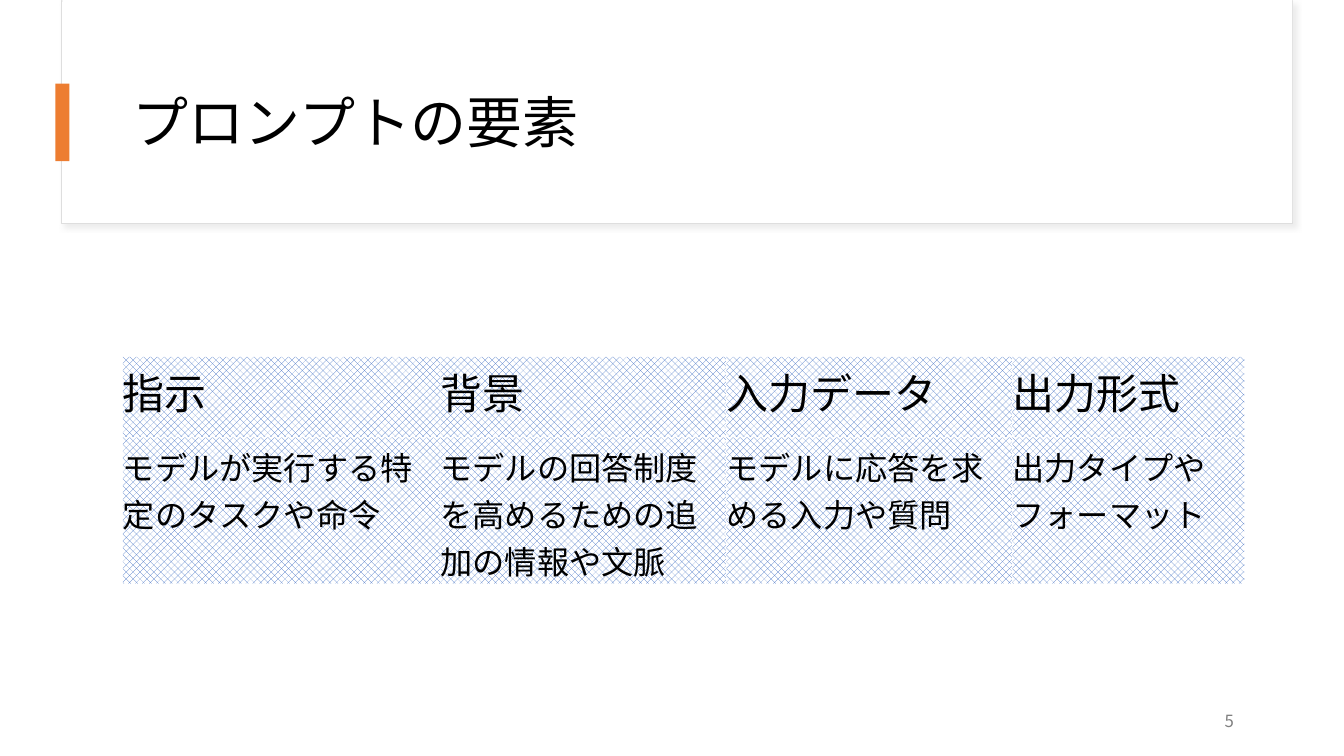
from lxml.etree import SubElement
from pptx import Presentation
from pptx.dml.color import RGBColor
from pptx.enum.dml import MSO_PATTERN
from pptx.enum.shapes import MSO_SHAPE
from pptx.enum.text import MSO_ANCHOR as Anchor, MSO_AUTO_SIZE, PP_ALIGN as Align
from pptx.oxml.ns import qn
from pptx.util import Pt

FONT = "Noto Sans CJK JP"
COLORS = {
    "text": "000000",
    "page": "FFFFFF",
    "frame": "DEDEDE",
    "shadow": "D9D9D9",
    "accent": "ED7D31",
    "hatch": "4472C4",
    "number": "808080",
}
NO_STYLE = "{2D5ABB26-0587-4C30-8999-92F81FD0307C}"
ELEMENTS = [
    ("指示", "モデルが実行する特定のタスクや命令"),
    ("背景", "モデルの回答制度を高めるための追加の情報や文脈"),
    ("入力データ", "モデルに応答を求める入力や質問"),
    ("出力形式", "出力タイプやフォーマット"),
]
COLUMN_WIDTHS = [226.8, 204.3, 204.3, 165.6]
ROW_HEIGHTS = [57.6, 104.4]


def color(name):
    return RGBColor.from_string(COLORS[name])


def write(frame, text, size, ink="text", align=Align.LEFT, spacing=None, after=None):
    paragraph = frame.paragraphs[0]
    paragraph.alignment = align
    paragraph.line_spacing = spacing
    if after is not None:
        paragraph.space_after = Pt(after)
    run = paragraph.add_run()
    run.text = text
    run.font.size = Pt(size)
    run.font.name = FONT
    run.font.color.rgb = color(ink)
    SubElement(run.font._element, qn("a:ea"), typeface=FONT)


def add_box(slide, left, top, width, height, fill, line=None):
    box = slide.shapes.add_shape(
        MSO_SHAPE.RECTANGLE, Pt(left), Pt(top), Pt(width), Pt(height))
    box.shadow.inherit = False
    box.fill.solid()
    box.fill.fore_color.rgb = color(fill)
    if line:
        box.line.color.rgb = color(line)
        box.line.width = Pt(0.75)
    else:
        box.line.fill.background()
    return box


def add_shadow(box, blur, distance, degrees, opacity):
    effects = box._element.spPr.find(qn("a:effectLst"))
    shadow = SubElement(
        effects, qn("a:outerShdw"), blurRad=str(Pt(blur)), dist=str(Pt(distance)),
        dir=str(degrees * 60000), algn="tl", rotWithShape="0")
    tint = SubElement(shadow, qn("a:srgbClr"), val=COLORS["shadow"])
    SubElement(tint, qn("a:alpha"), val=str(opacity * 1000))


def add_title(slide, text):
    title = slide.shapes.title
    title.left, title.top, title.width, title.height = Pt(87.8), Pt(43.2), Pt(800.6), Pt(92.9)
    title.text_frame.auto_size = MSO_AUTO_SIZE.NONE
    title.text_frame.vertical_anchor = Anchor.MIDDLE
    write(title.text_frame, text, 40, spacing=0.9)


def add_page_number(slide, number):
    page = slide.shapes.add_textbox(Pt(672.5), Pt(500.4), Pt(216), Pt(28.8))
    page.text_frame.word_wrap = True
    page.text_frame.vertical_anchor = Anchor.MIDDLE
    write(page.text_frame, number, 12, ink="number", align=Align.RIGHT, after=6)


def fill_cell(cell, text, size, anchor, top_margin):
    cell.fill.patterned()
    cell.fill.pattern = MSO_PATTERN.PERCENT_50
    cell.fill.fore_color.rgb = color("hatch")
    cell.fill.back_color.rgb = color("page")
    cell.margin_left, cell.margin_top = 0, Pt(top_margin)
    cell.margin_right = cell.margin_bottom = Pt(13.7)
    cell.vertical_anchor = anchor
    write(cell.text_frame, text, size)


def add_elements_table(slide):
    table = slide.shapes.add_table(
        len(ROW_HEIGHTS), len(ELEMENTS), Pt(87.8), Pt(254.9),
        Pt(sum(COLUMN_WIDTHS)), Pt(sum(ROW_HEIGHTS))).table
    table.first_row = table.horz_banding = False
    table._tbl.tblPr.find(qn("a:tableStyleId")).text = NO_STYLE
    for row, height in zip(table.rows, ROW_HEIGHTS):
        row.height = Pt(height)
    for index, (heading, description) in enumerate(ELEMENTS):
        table.columns[index].width = Pt(COLUMN_WIDTHS[index])
        fill_cell(table.cell(0, index), heading, 30, Anchor.BOTTOM, 2.9)
        fill_cell(table.cell(1, index), description, 23, Anchor.TOP, 4.3)


def main():
    prs = Presentation()
    prs.slide_width, prs.slide_height = Pt(960), Pt(540)
    slide = prs.slides.add_slide(prs.slide_layouts[5])

    header = add_box(slide, 43.9, 0.7, 879.1, 159.1, "page", line="frame")
    add_shadow(header, blur=4, distance=3, degrees=45, opacity=50)
    add_box(slide, 44.6, 0, 878.4, 158.4, "page")
    # The title sits above the header panels.
    slide.shapes._spTree.append(slide.shapes.title._element)
    add_title(slide, "プロンプトの要素")
    add_box(slide, 39.6, 59.8, 10.1, 55.4, "accent")
    add_page_number(slide, "5")
    add_elements_table(slide)

    prs.save("out.pptx")


if __name__ == "__main__":
    main()
